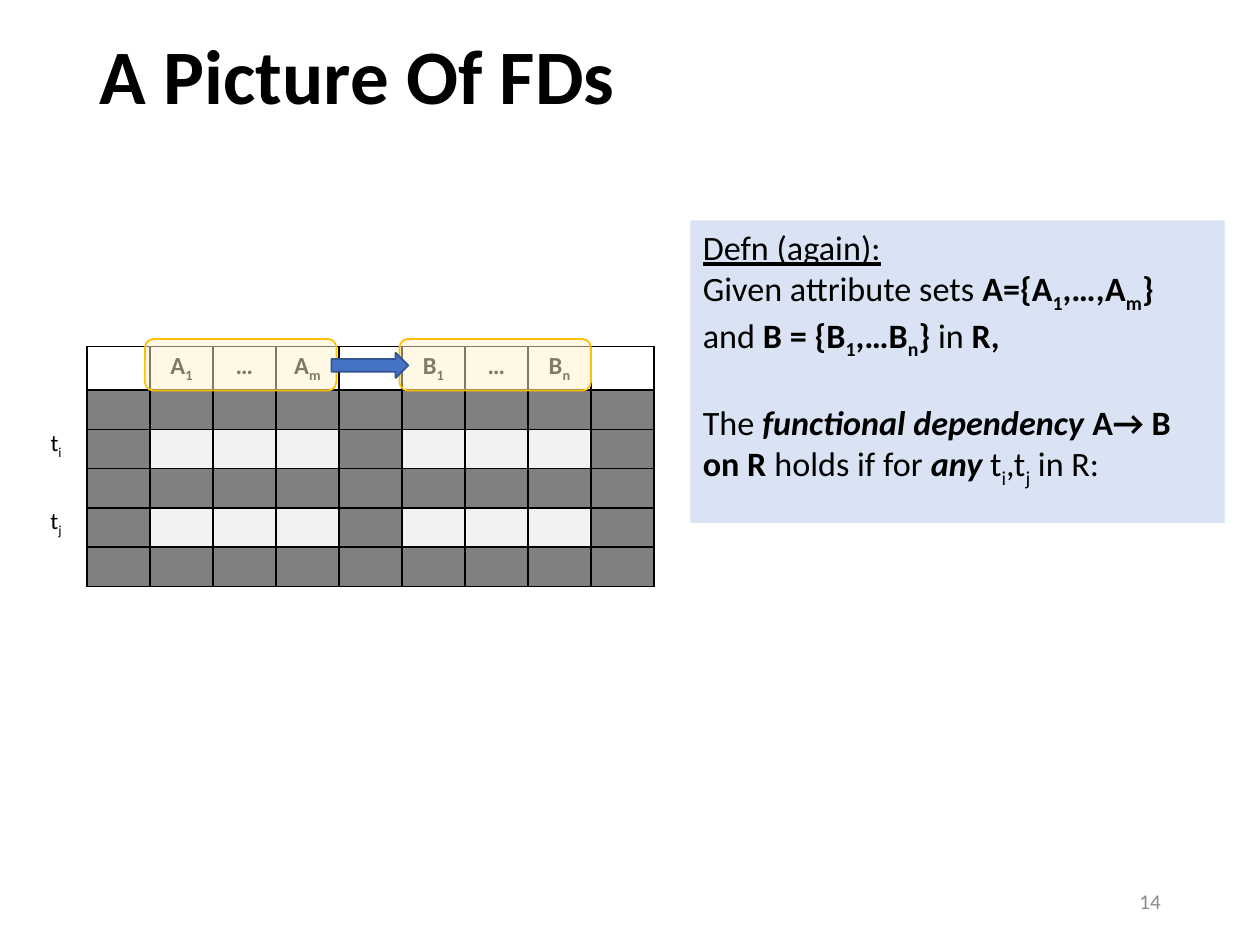
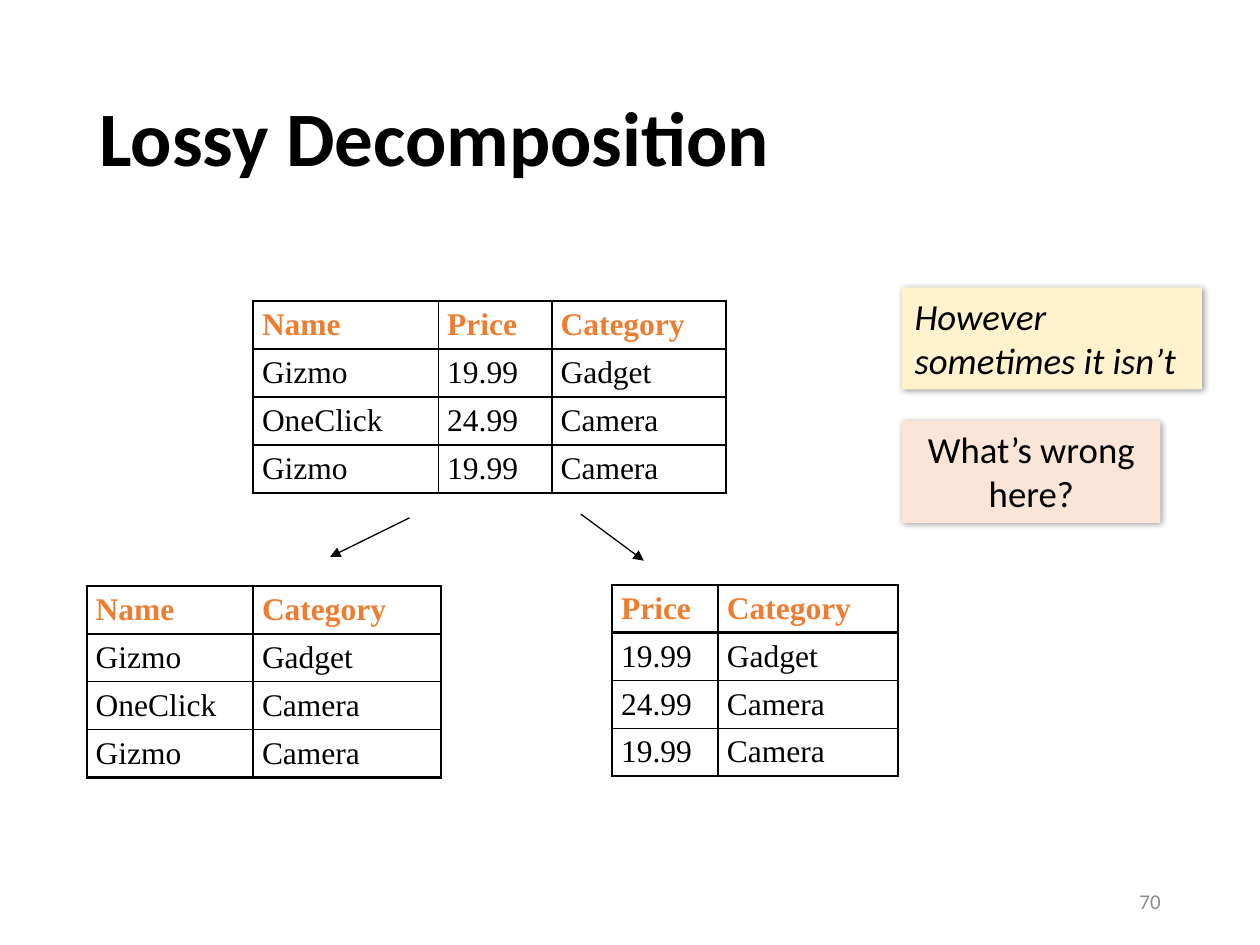
import lxml.etree
import pptx
import pptx.dml.color
import pptx.enum.shapes
import pptx.enum.text
import pptx.oxml.ns
import pptx.util

COLUMNS, ROWS = 100, 75
BLACK, GREY, ORANGE, PALE_GOLD = "000000", "8C8C8C", "ED7D31", "FFF2CC"
ALIGN = pptx.enum.text.PP_ALIGN
ANCHOR = pptx.enum.text.MSO_ANCHOR
PRESET = pptx.enum.shapes.MSO_SHAPE


def hex_color(value):
    return pptx.dml.color.RGBColor.from_string(value)


def add_xml(parent, tag, **attributes):
    return lxml.etree.SubElement(parent, pptx.oxml.ns.qn(tag), attributes)


def write(frame, paragraphs, size=18, font="Calibri", color=BLACK, marks="",
          align=ALIGN.LEFT, anchor=ANCHOR.TOP, spacing=None):
    """Marks: b bold, i italic, u underline, s subscript."""
    frame.word_wrap = True
    frame.vertical_anchor = anchor
    if isinstance(paragraphs, str):
        paragraphs = [[(paragraphs, marks)]]
    for index, pieces in enumerate(paragraphs):
        paragraph = frame.add_paragraph() if index else frame.paragraphs[0]
        paragraph.alignment = align
        if spacing:
            paragraph.line_spacing = spacing
        for text, piece_marks in pieces:
            run = paragraph.add_run()
            run.text = text
            run.font.name = font
            run.font.size = pptx.util.Pt(size)
            run.font.color.rgb = hex_color(color)
            run.font.bold = "b" in piece_marks
            run.font.italic = "i" in piece_marks
            run.font.underline = "u" in piece_marks
            if "s" in piece_marks:
                run._r.get_or_add_rPr().set("baseline", "-25000")
        if not pieces:
            add_xml(paragraph._p, "a:endParaRPr", sz=str(int(size * 100)))


class Deck:
    def __init__(self):
        self.presentation = pptx.Presentation()
        self.presentation.slide_width = pptx.util.Inches(10)
        self.presentation.slide_height = pptx.util.Inches(7.5)
        self.slide = None

    def across(self, columns):
        return int(self.presentation.slide_width * columns / COLUMNS)

    def down(self, rows):
        return int(self.presentation.slide_height * rows / ROWS)

    def box(self, left, top, width, height):
        return self.across(left), self.down(top), self.across(width), self.down(height)

    def start(self, title, number, top, height):
        self.slide = self.presentation.slides.add_slide(self.presentation.slide_layouts[5])
        heading = self.slide.shapes.title
        heading.left, heading.top, heading.width, heading.height = self.box(6.9, top, 86.2, height)
        write(heading.text_frame, [[(title, "b")]], size=44, anchor=ANCHOR.MIDDLE, spacing=0.9)
        heading.text_frame.auto_size = pptx.enum.text.MSO_AUTO_SIZE.NONE
        self.text(70.6, 69.5, 22.5, 4, number, size=12, color=GREY,
                  align=ALIGN.RIGHT, anchor=ANCHOR.MIDDLE)

    def text(self, left, top, width, height, content, **style):
        label = self.slide.shapes.add_textbox(*self.box(left, top, width, height))
        write(label.text_frame, content, **style)

    def shape(self, preset, left, top, width, height, fill, line=None, opacity=None,
              shadow=False, content=None, **style):
        shape = self.slide.shapes.add_shape(preset, *self.box(left, top, width, height))
        shape.shadow.inherit = False
        shape.fill.solid()
        shape.fill.fore_color.rgb = hex_color(fill)
        properties = shape._element.spPr
        if opacity:
            tint = properties.find(".//" + pptx.oxml.ns.qn("a:srgbClr"))
            add_xml(tint, "a:alpha", val=str(opacity * 1000))
        if line:
            shape.line.color.rgb = hex_color(line)
            shape.line.width = pptx.util.Pt(1)
        else:
            shape.line.fill.background()
        if shadow:
            effects = properties.find(pptx.oxml.ns.qn("a:effectLst"))
            cast = add_xml(effects, "a:outerShdw", blurRad="50800", dist="12700",
                           dir="2700000", algn="tl", rotWithShape="0")
            add_xml(add_xml(cast, "a:srgbClr", val=BLACK), "a:alpha", val="40000")
        if content:
            write(shape.text_frame, content, **style)

    def arrow(self, start, end):
        arrow = self.slide.shapes.add_connector(
            pptx.enum.shapes.MSO_CONNECTOR.STRAIGHT,
            self.across(start[0]), self.down(start[1]), self.across(end[0]), self.down(end[1]))
        arrow.line.color.rgb = hex_color(BLACK)
        arrow.line.width = pptx.util.Pt(0.75)
        properties = arrow._element.spPr
        add_xml(properties.find(pptx.oxml.ns.qn("a:ln")), "a:tailEnd", type="triangle")
        add_xml(properties, "a:effectLst")

    def table(self, left, top, widths, heights, cell_text, cell_style, cell_fill=None,
              frame_width=1.5):
        table = self.slide.shapes.add_table(
            len(heights), len(widths), *self.box(left, top, sum(widths), sum(heights))).table
        table.first_row = table.horz_banding = False
        for column, width in zip(table.columns, widths):
            column.width = self.across(width)
        for row, height in zip(table.rows, heights):
            row.height = self.down(height)
        last_row, last_column = len(heights) - 1, len(widths) - 1
        for r, row in enumerate(table.rows):
            for c, cell in enumerate(row.cells):
                cell.margin_left = cell.margin_right = pptx.util.Inches(0.07)
                cell.margin_top = cell.margin_bottom = pptx.util.Inches(0.04)
                heavy = {"L": c == 0, "R": c == last_column,
                         "T": r < 2, "B": r in (0, last_row)}
                self.border(cell, {side: frame_width if edge else 1 for side, edge in heavy.items()})
                fill = cell_fill(r, c) if cell_fill else None
                if fill:
                    cell.fill.solid()
                    cell.fill.fore_color.rgb = hex_color(fill)
                else:
                    cell.fill.background()
                style = cell_style(r)
                cell.vertical_anchor = style.get("anchor", ANCHOR.TOP)
                write(cell.text_frame, cell_text(r, c),
                      **{key: value for key, value in style.items() if key != "anchor"})

    def border(self, cell, widths):
        properties = cell._tc.get_or_add_tcPr()
        for side, width in widths.items():
            line = add_xml(properties, "a:ln" + side, w=str(int(pptx.util.Pt(width))))
            add_xml(add_xml(line, "a:solidFill"), "a:srgbClr", val=BLACK)

    def relation(self, left, top, widths, records):
        def style(r):
            return dict(size=18, font="Times New Roman", anchor=ANCHOR.MIDDLE,
                        color=BLACK if r else ORANGE, marks="" if r else "b")
        self.table(left, top, widths, [3.76] * len(records), lambda r, c: records[r][c], style)


def build_dependency_slide(deck):
    deck.start("A Picture Of FDs", "14", 0.9, 10.9)
    attributes = {1: ("A", "1"), 2: ("…", ""), 3: ("A", "m"),
                  5: ("B", "1"), 6: ("…", ""), 7: ("B", "n")}

    def attribute(r, c):
        if r or c not in attributes:
            return [[]]
        name, subscript = attributes[c]
        return [[(name, "b")] + ([(subscript, "bs")] if subscript else [])]

    def tuple_fill(r, c):
        if r == 0:
            return None
        return "F2F2F2" if r in (2, 4) and c in attributes else "808080"

    deck.table(6.9, 27.5, [5] * 9, [3.4] + [3.12] * 5, attribute,
               lambda r: dict(size=14 if r == 0 else 13.5, align=ALIGN.CENTER),
               tuple_fill, frame_width=1)
    for top, subscript in ((33.5, "i"), (39.7, "j")):
        deck.text(2, top, 4.9, 3.3, [[("t", ""), (subscript, "s")]],
                  size=13.5, align=ALIGN.CENTER)

    definition = [
        [("Defn (again):", "u")],
        [("Given attribute sets ", ""), ("A={A", "b"), ("1", "bs"), (",…,A", "b"), ("m", "bs"),
         ("}", "b"), (" and ", ""), ("B = {B", "b"), ("1", "bs"), (",…B", "b"), ("n", "bs"),
         ("} ", "b"), ("in ", ""), ("R,", "b")],
        [],
        [("The ", ""), ("functional dependency ", "bi"), ("A→ B on R ", "b"),
         ("holds if for ", ""), ("any ", "bi"), ("t", ""), ("i", "s"), (",t", ""), ("j", "s"),
         (" in R:", "")],
    ]
    deck.shape(PRESET.RECTANGLE, 54.8, 17.5, 42.4, 24, "DAE3F3", content=definition, size=19.5)
    for left in (11.5, 31.7):
        deck.shape(PRESET.ROUNDED_RECTANGLE, left, 26.9, 15.2, 4.1, PALE_GOLD,
                   line="FFC000", opacity=50)
    deck.shape(PRESET.RIGHT_ARROW, 26.3, 28, 6.1, 2, "4472C4", line="325491")


def build_decomposition_slide(deck):
    deck.start("Lossy Decomposition", "70", 4, 14.5)
    products = [("Name", "Price", "Category"), ("Gizmo", "19.99", "Gadget"),
                ("OneClick", "24.99", "Camera"), ("Gizmo", "19.99", "Camera")]
    deck.relation(20.1, 23.9, [14.7, 9, 13.8], products)
    deck.relation(6.9, 46.5, [13.2, 14.9], [(name, kind) for name, _, kind in products])
    deck.relation(48.6, 46.4, [8.4, 14.3], [(price, kind) for _, price, kind in products])
    deck.arrow((32.5, 41.1), (26.2, 44.2))
    deck.arrow((46.1, 40.8), (51.1, 44.5))
    deck.shape(PRESET.RECTANGLE, 71.6, 33.4, 20.5, 8.1, "FBE5D6", shadow=True,
               content="What’s wrong here?", size=21, align=ALIGN.CENTER)
    deck.shape(PRESET.RECTANGLE, 71.6, 22.8, 23.8, 8.1, PALE_GOLD, shadow=True,
               content="However sometimes it isn’t", size=21, marks="i")


def main():
    deck = Deck()
    build_dependency_slide(deck)
    build_decomposition_slide(deck)
    deck.presentation.save("out.pptx")


if __name__ == "__main__":
    main()
